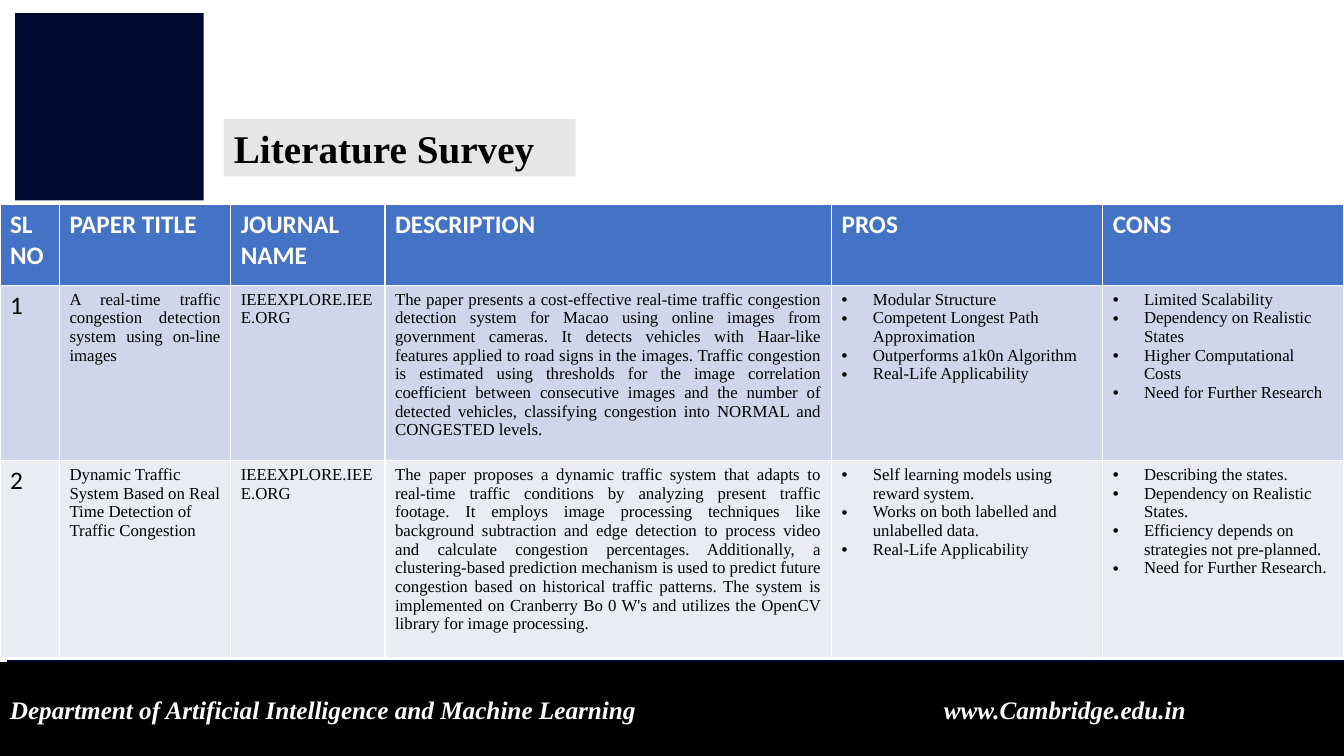
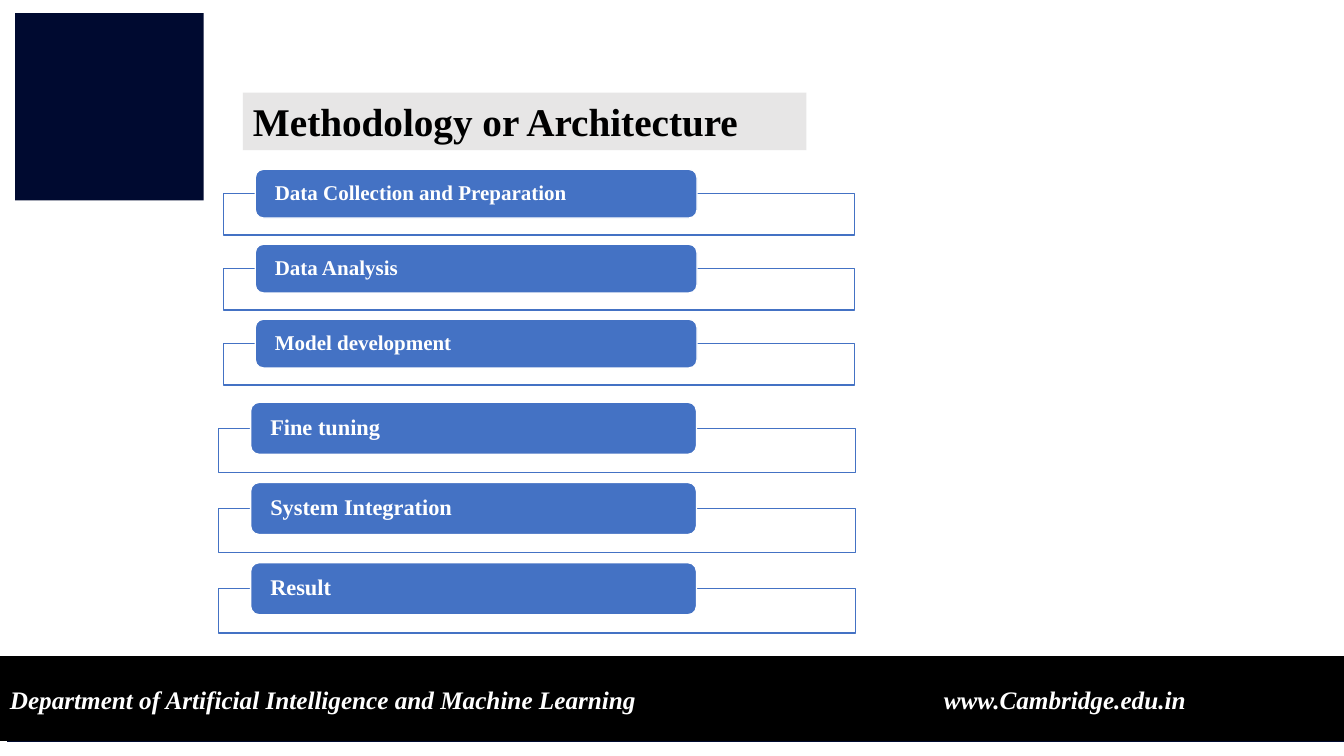
from lxml.etree import SubElement
from pptx import Presentation
from pptx.dml.color import RGBColor
from pptx.enum.shapes import MSO_SHAPE as SHAPE
from pptx.enum.text import MSO_ANCHOR as ANCHOR, MSO_AUTO_SIZE as AUTOSIZE, PP_ALIGN as ALIGN
from pptx.oxml.ns import qn
from pptx.util import Emu, Inches, Pt

COLORS = {
    "navy": "000A30", "black": "000000", "white": "FFFFFF", "gray": "E7E6E6",
    "blue": "4472C4", "row_dark": "CFD5EA", "row_light": "E9EBF5",
}
SERIF, SANS = "Times New Roman", "Calibri"
UNIT = Inches(0.1)
COLS, ROWS = 133.33, 75
FOOTER = "Department of Artificial Intelligence and Machine Learning\twww.Cambridge.edu.in"

COLUMN_WIDTHS = (5.9, 17, 15.3, 44.3, 26.9, 23.93)
ROW_HEIGHTS = (8, 17.4, 19.5)
HEADERS = ("SL NO", "PAPER TITLE", "JOURNAL NAME", "DESCRIPTION", "PROS", "CONS")
PAPERS = (
    ("1",
     "A real-time traffic congestion detection system using on-line images",
     "IEEEXPLORE.IEEE.ORG",
     "The paper presents a cost-effective real-time traffic congestion detection system for "
     "Macao using online images from government cameras. It detects vehicles with Haar-like "
     "features applied to road signs in the images. Traffic congestion is estimated using "
     "thresholds for the image correlation coefficient between consecutive images and the "
     "number of detected vehicles, classifying congestion into NORMAL and CONGESTED levels.",
     ("Modular Structure", "Competent Longest Path Approximation",
      "Outperforms a1k0n Algorithm", "Real-Life Applicability"),
     ("Limited Scalability", "Dependency on Realistic States",
      "Higher Computational Costs", "Need for Further Research")),
    ("2",
     "Dynamic Traffic System Based on Real Time Detection of Traffic Congestion",
     "IEEEXPLORE.IEEE.ORG",
     "The paper proposes a dynamic traffic system that adapts to real-time traffic conditions "
     "by analyzing present traffic footage. It employs image processing techniques like "
     "background subtraction and edge detection to process video and calculate congestion "
     "percentages. Additionally, a clustering-based prediction mechanism is used to predict "
     "future congestion based on historical traffic patterns. The system is implemented on "
     "Cranberry Bo 0 W's and utilizes the OpenCV library for image processing.",
     ("Self learning models using reward system.",
      "Works on both labelled and unlabelled data.", "Real-Life Applicability"),
     ("Describing the states.", "Dependency on Realistic States.",
      "Efficiency depends on strategies not pre-planned.", "Need for Further Research.")),
)
JUSTIFIED = {(1, 1), (1, 3), (2, 3)}

STAGE_GROUPS = (
    ((22.2, 16.8, 62.6, 21.4), 15,
     ("Data Collection and Preparation", "Data Analysis", "Model development")),
    ((21.7, 39.9, 63.2, 22.9), 16, ("Fine tuning", "System Integration", "Result")),
)


def grid(n):
    """Turn a count of grid units into a length."""
    return Emu(round(n * UNIT))


def rgb(name):
    """Look up a named colour."""
    return RGBColor.from_string(COLORS[name])


def style(p, size, color, font=SERIF, bold=False, italic=False):
    """Format every run of a paragraph."""
    for r in p.runs:
        f = r.font
        f.name, f.size, f.bold, f.italic = font, Pt(size), bold, italic
        f.color.rgb = rgb(color)


def add_box(s, box, fill, line=None, kind=SHAPE.RECTANGLE):
    """Add a filled preset shape on the grid."""
    sp = s.shapes.add_shape(kind, *map(grid, box))
    sp.shadow.inherit = False
    sp.fill.solid()
    sp.fill.fore_color.rgb = rgb(fill)
    if line:
        sp.line.color.rgb = rgb(line)
        sp.line.width = Pt(1)
    else:
        sp.line.fill.background()
    return sp


def add_footer(s, box):
    """Add the black footer with department and web address."""
    tf = add_box(s, box, "black", "black").text_frame
    tf.vertical_anchor = ANCHOR.MIDDLE
    tf.text = FOOTER
    p = tf.paragraphs[0]
    p.alignment = ALIGN.LEFT
    tabs = SubElement(p._p.get_or_add_pPr(), qn("a:tabLst"))
    SubElement(tabs, qn("a:tab"), pos=str(grid(92.65)), algn="l")
    style(p, 18, "white", bold=True, italic=True)


def add_page(prs, title, title_box, footer_box):
    """Add a slide with the shared emblem, bands and title."""
    s = prs.slides.add_slide(prs.slide_layouts[5])
    add_box(s, (1.5, 1.3, 18.7, 18.6), "navy")
    add_box(s, (0.7, 65.5, COLS - 0.7, 8.1), "navy")
    add_footer(s, footer_box)
    sp = s.shapes.title
    sp.left, sp.top, sp.width, sp.height = map(grid, title_box)
    sp.fill.solid()
    sp.fill.fore_color.rgb = rgb("gray")
    tf = sp.text_frame
    tf.text = title
    tf.auto_size = AUTOSIZE.NONE
    tf.vertical_anchor = ANCHOR.TOP
    p = tf.paragraphs[0]
    p.alignment = ALIGN.LEFT
    style(p, 28, "black", bold=True)
    return s


def add_bullet(p):
    """Give a paragraph a hanging round bullet."""
    pPr = p._p.get_or_add_pPr()
    pPr.set("marL", str(grid(3.1)))
    pPr.set("indent", str(-grid(3.1)))
    SubElement(pPr, qn("a:buFont"), typeface="Arial")
    SubElement(pPr, qn("a:buChar"), char="•")


def fill_cell(cell, row, col, content):
    """Write and format one cell of the survey."""
    cell.fill.solid()
    cell.fill.fore_color.rgb = rgb(("blue", "row_dark", "row_light")[row])
    bulleted = isinstance(content, tuple)
    cell.text_frame.text = "\n".join(content) if bulleted else content
    for p in cell.text_frame.paragraphs:
        if bulleted:
            add_bullet(p)
        if (row, col) in JUSTIFIED:
            p.alignment = ALIGN.JUSTIFY
        if row == 0:
            style(p, 18, "white", SANS, bold=True)
        elif col == 0:
            style(p, 18, "black", SANS)
        else:
            style(p, 12, "black")


def add_survey(s, left, top):
    """Add the literature table at a grid position."""
    data = (HEADERS,) + PAPERS
    box = (left, top, sum(COLUMN_WIDTHS), sum(ROW_HEIGHTS))
    table = s.shapes.add_table(len(data), len(HEADERS), *map(grid, box)).table
    for column, width in zip(table.columns, COLUMN_WIDTHS):
        column.width = grid(width)
    for i, (height, values) in enumerate(zip(ROW_HEIGHTS, data)):
        table.rows[i].height = grid(height)
        for j, content in enumerate(values):
            fill_cell(table.cell(i, j), i, j, content)


def add_stages(s, box, size, labels):
    """Stack labelled bars over outlined frames inside a box."""
    left, top, width, height = box
    bar_h, stage_h = 0.226 * height, 0.305 * height
    pitch = (height - stage_h) / (len(labels) - 1)
    for i, label in enumerate(labels):
        y = top + i * pitch
        add_box(s, (left, y + bar_h / 2, width, stage_h - bar_h / 2), "white", "blue")
        bar = add_box(s, (left + 0.05 * width, y, 0.7 * width, bar_h),
                      "blue", "white", SHAPE.ROUNDED_RECTANGLE)
        tf = bar.text_frame
        tf.margin_left = tf.margin_right = grid(1.7)
        tf.margin_top = tf.margin_bottom = 0
        tf.vertical_anchor = ANCHOR.MIDDLE
        tf.text = label
        p = tf.paragraphs[0]
        p.alignment = ALIGN.LEFT
        p.line_spacing = 0.9
        style(p, size, "white", bold=True)


def main():
    """Build and save both slides."""
    prs = Presentation()
    prs.slide_width, prs.slide_height = grid(COLS), grid(ROWS)
    s = add_page(prs, "Literature Survey", (22.2, 11.8, 34.9, 5.7), (0, 65.7, COLS, 9.3))
    add_survey(s, 0, 20.3)
    s = add_page(prs, "Methodology or Architecture", (24.1, 9.2, 55.9, 5.7),
                 (0, 65.2, COLS, 8.3))
    for box, size, labels in STAGE_GROUPS:
        add_stages(s, box, size, labels)
    prs.save("out.pptx")


if __name__ == "__main__":
    main()
